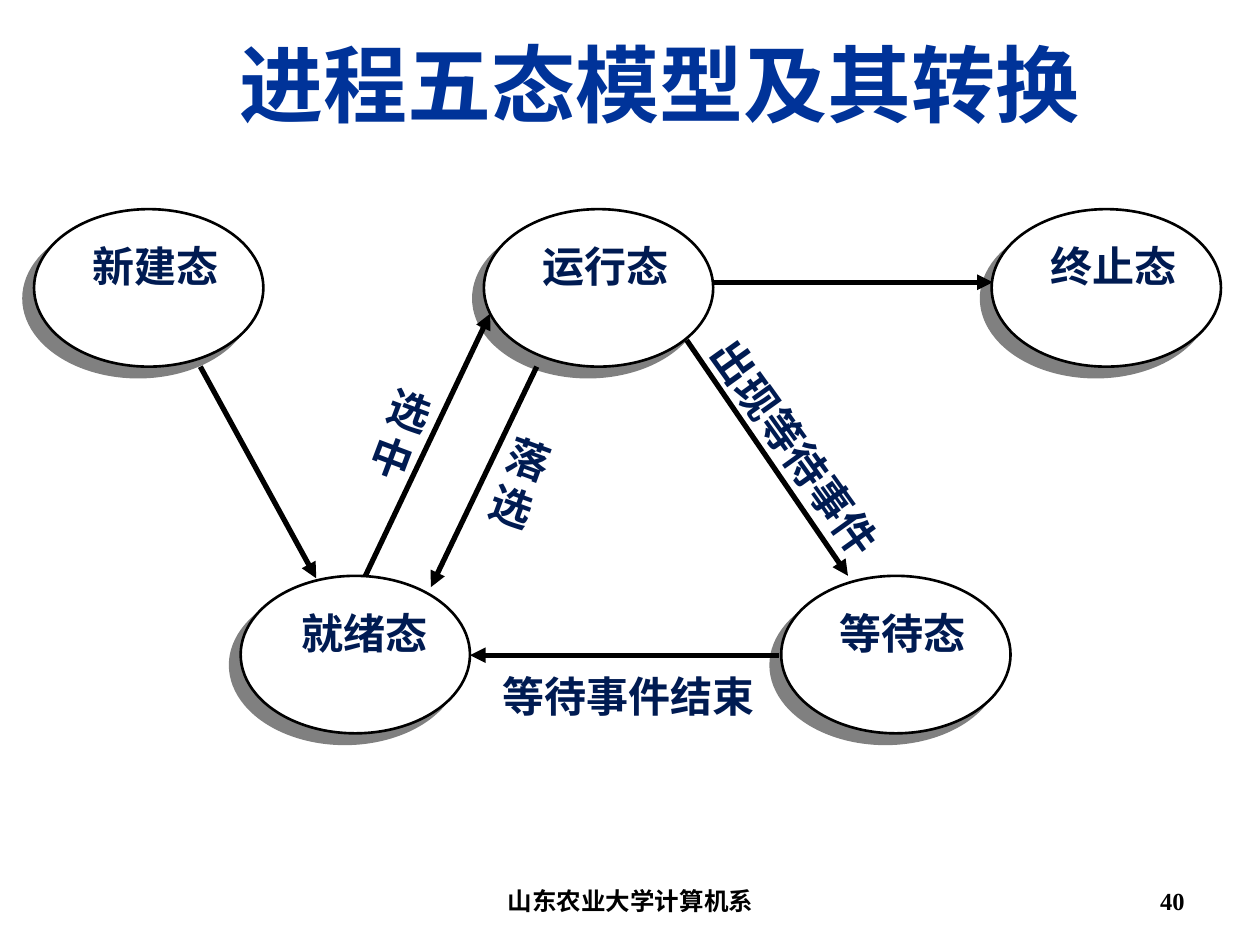
"""Build a slide showing the five-state process model and its transitions."""
from typing import NamedTuple

from lxml.etree import SubElement
from pptx import Presentation
from pptx.dml.color import RGBColor
from pptx.enum.shapes import MSO_CONNECTOR as Conn, MSO_SHAPE as Shape
from pptx.enum.text import MSO_ANCHOR as Anchor, PP_ALIGN as Align
from pptx.oxml.ns import qn
from pptx.util import Emu, Inches, Pt

COLORS = {"white": "FFFFFF", "black": "000000", "shadow": "808080",
          "label": "001B52", "title": "003399"}
CJK = "Noto Sans CJK SC"
TIMES = "Times New Roman"
STATE_W, STATE_H = 1.82, 1.25
NAME_W, NAME_H = 1.09, 0.83
NAME_DY = 0.21
TOP_ROW, BOTTOM_ROW = 1.66, 4.57


class State(NamedTuple):
    name: str
    left: float
    top: float
    name_dx: float = 0.42


class Arrow(NamedTuple):
    x1: float
    y1: float
    x2: float
    y2: float


class Label(NamedTuple):
    text: str
    left: float
    top: float
    width: float
    height: float
    rotation: float = 0
    size: int = 24
    color: str = "label"
    font: str = CJK
    align: Align = Align.CENTER
    anchor: Anchor = Anchor.TOP
    margins: tuple[float, float, float, float] = (0, 0.04, 0, 0)


STATES = [
    State("运行态", 3.84, TOP_ROW),
    State("就绪态", 1.91, BOTTOM_ROW, 0.44),
    State("等待态", 6.2, BOTTOM_ROW),
    State("新建态", 0.27, TOP_ROW),
    State("终止态", 7.87, TOP_ROW),
]
ARROWS = [
    Arrow(2.9, 4.57, 3.89, 2.49),
    Arrow(4.26, 2.91, 3.42, 4.66),
    Arrow(5.45, 2.7, 6.73, 4.57),
    Arrow(6.18, 5.2, 3.73, 5.2),
    Arrow(1.59, 2.91, 2.51, 4.59),
    Arrow(5.66, 2.24, 7.88, 2.24),
]
BOX_MARGINS = (0.1, 0.05, 0.1, 0.05)
LABELS = [
    Label("选中", 2.87, 3, 0.64, 0.84, 20.6),
    Label("落选", 3.82, 3.39, 0.64, 0.83, 20),
    Label("出现等待事件", 5.24, 3.3, 2.1, 0.54, 54.4),
    Label("等待事件结束", 3.9, 5.28, 2.18, 0.5),
    Label("进程五态模型及其转换", 1.8, 0.21, 7.48, 0.9, size=48, color="title",
          align=Align.LEFT, margins=BOX_MARGINS),
    Label("山东农业大学计算机系", 3.42, 6.95, 3.17, 0.4, size=14, color="black",
          font=TIMES, anchor=Anchor.MIDDLE, margins=BOX_MARGINS),
    Label("40", 7.17, 6.95, 2.33, 0.4, size=14, color="black", font=TIMES,
          align=Align.RIGHT, anchor=Anchor.MIDDLE, margins=BOX_MARGINS),
]


def rgb(name: str) -> RGBColor:
    """Return a named colour."""
    return RGBColor.from_string(COLORS[name])


def write(sp, label: Label) -> None:
    """Put a label's text and formatting into a shape."""
    tf = sp.text_frame
    tf.word_wrap = True
    tf.vertical_anchor = label.anchor
    tf.margin_left, tf.margin_top, tf.margin_right, tf.margin_bottom = map(
        Inches, label.margins)
    p = tf.paragraphs[0]
    p.text = label.text
    p.alignment = label.align
    font = p.font
    font.size, font.bold, font.name = Pt(label.size), True, label.font
    font.color.rgb = rgb(label.color)
    SubElement(p._p.pPr.find(qn("a:defRPr")), qn("a:ea"), typeface=CJK)


def add_label(s, label: Label) -> None:
    """Add a text box, rotated if the label asks for it."""
    sp = s.shapes.add_textbox(Inches(label.left), Inches(label.top),
                              Inches(label.width), Inches(label.height))
    sp.rotation = label.rotation
    write(sp, label)


def add_white_shape(s, kind: Shape, left: float, top: float,
                    width: float, height: float):
    """Add a white preset shape without an inherited shadow."""
    sp = s.shapes.add_shape(kind, Inches(left), Inches(top),
                            Inches(width), Inches(height))
    sp.fill.solid()
    sp.fill.fore_color.rgb = rgb("white")
    sp.shadow.inherit = False
    return sp


def add_state(s, state: State) -> None:
    """Add a shadowed ellipse with the state's name on it."""
    sp = add_white_shape(s, Shape.OVAL, state.left, state.top, STATE_W, STATE_H)
    sp.line.color.rgb = rgb("black")
    sp.line.width = Pt(1.5)
    effects = sp._element.spPr.find(qn("a:effectLst"))
    shadow = SubElement(effects, qn("a:outerShdw"), blurRad="0",
                        dist=str(Emu(Pt(8.5))), dir=str(135 * 60000),
                        algn="ctr", rotWithShape="0")
    SubElement(shadow, qn("a:srgbClr"), val=COLORS["shadow"])

    name = Label(state.name, state.left + state.name_dx, state.top + NAME_DY,
                 NAME_W, NAME_H)
    sp = add_white_shape(s, Shape.RECTANGLE, name.left, name.top,
                         name.width, name.height)
    sp.line.fill.background()
    write(sp, name)


def add_arrow(s, arrow: Arrow) -> None:
    """Add a straight arrow with a triangular head at its end."""
    c = s.shapes.add_connector(Conn.STRAIGHT, *map(Inches, arrow))
    c.line.color.rgb = rgb("black")
    c.line.width = Pt(3)
    SubElement(c.line._get_or_add_ln(), qn("a:tailEnd"), type="triangle")
    SubElement(c._element.spPr, qn("a:effectLst"))


def main() -> None:
    """Build and save the slide."""
    prs = Presentation()
    prs.slide_width, prs.slide_height = Inches(10), Inches(7.5)
    s = prs.slides.add_slide(prs.slide_layouts[6])
    for state in STATES:
        add_state(s, state)
    for arrow in ARROWS:
        add_arrow(s, arrow)
    for label in LABELS:
        add_label(s, label)
    prs.save("out.pptx")


if __name__ == "__main__":
    main()
